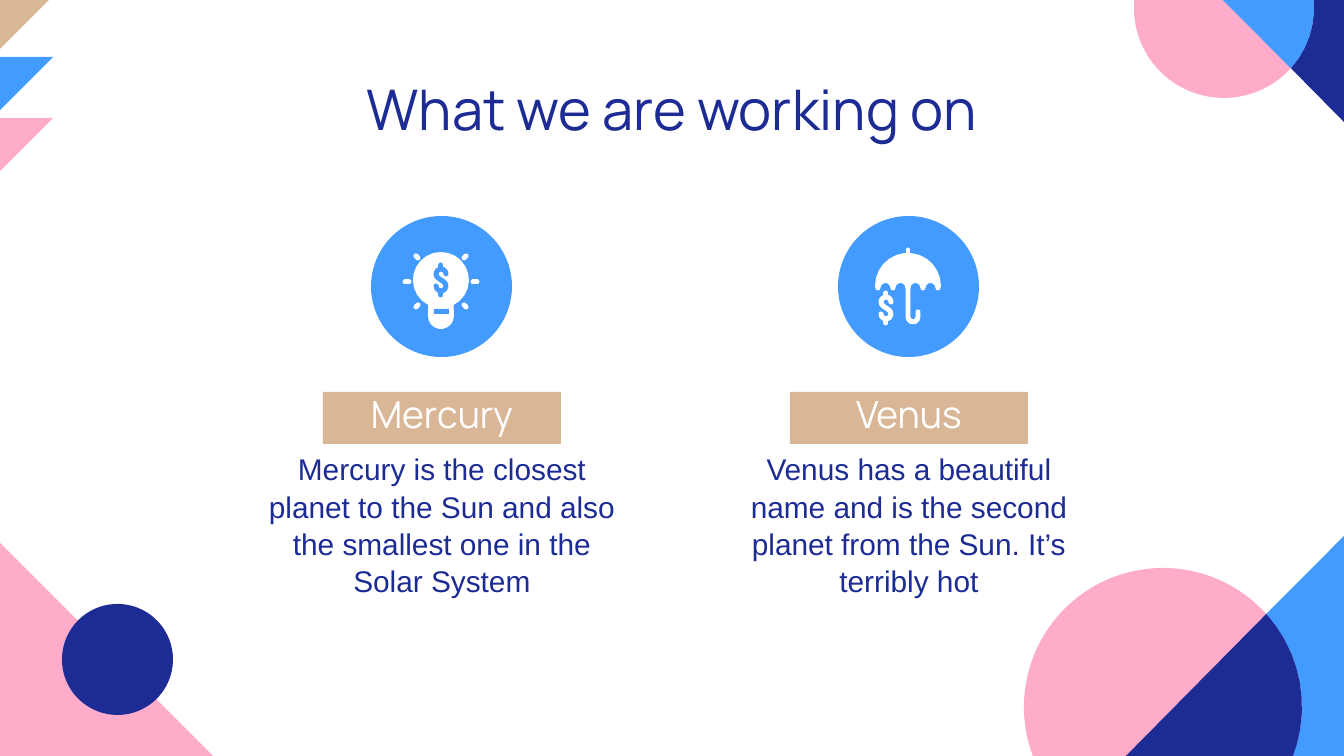
from math import ceil, cos, radians, sin, sqrt

from pptx import Presentation
from pptx.dml.color import RGBColor
from pptx.enum.shapes import MSO_SHAPE
from pptx.enum.text import MSO_ANCHOR, MSO_AUTO_SIZE, PP_ALIGN
from pptx.util import Pt

PX = 914400 / 134.4  # EMU in one px
SANS, TITLE_FONT = "Arial", "Manrope"
NAVY, BLUE, PINK, SAND, WHITE = "1D2B95", "449BFF", "FFACCA", "D9B695", "FFFFFF"
OVAL, BAND = MSO_SHAPE.OVAL, MSO_SHAPE.RECTANGLE
rgb = RGBColor.from_string


def emu(*lengths):
    return [round(length * PX) for length in lengths]


def arc(cx, cy, r, start, end):
    """Points along an arc; degrees run clockwise from the right."""
    sweep = radians(end - start)
    steps = ceil(abs(sweep) / sqrt(2 / r))  # at most a quarter px off the curve
    angles = [radians(start) + sweep * i / steps for i in range(steps + 1)]
    return [(cx + r * cos(a), cy + r * sin(a)) for a in angles]


prs = Presentation()
prs.slide_width, prs.slide_height = emu(1344, 756)
slide = prs.slides.add_slide(prs.slide_layouts[5])
shapes = slide.shapes

# Canopy of the umbrella, with a scalloped lower edge
canopy = arc(908, 286, 33, 180, 360)
for tip in range(938, 877, -15):
    canopy += arc(tip, 288, 2.5, 0, 180)
    if tip > 878:
        canopy += arc(tip - 7.5, 288, 5, 0, -180)

# Filled parts, from back to front: a preset with its box, or None with points
filled = [(None, [(53, top), (-8, top), (-8, top + 61)], color)
          for top, color in ((-4, SAND), (57, BLUE), (118, PINK))]
filled += [
    # top right
    (OVAL, (1134, -82, 180, 180), PINK),
    (None, [(1344, 122), (1344, -24)] + arc(1224, 8, 90, -21, 42), NAVY),
    (None, arc(1224, 8, 90, 42, -21) + [(1199, -24)], BLUE),
    # bottom left
    (None, [(-3, 540), (-3, 759), (216, 759)], PINK),
    (OVAL, (62, 604, 111, 111), NAVY),
    # bottom right
    (OVAL, (1024, 568, 278, 278), PINK),
    (None, [(1348, 532), (1348, 758)] + arc(1163, 707, 139, 22, -42), BLUE),
    (None, arc(1163, 707, 139, -42, 22) + [(1124, 758)], NAVY),
    # icon discs, bulb with its socket band, umbrella
    (OVAL, (371, 216, 141, 141), BLUE),
    (OVAL, (838, 216, 141, 141), BLUE),
    (None, arc(441, 280, 28, 117, 423) + arc(441, 316, 13, 0, 180), WHITE),
    (BAND, (434, 309, 15, 5), BLUE),
    (None, canopy, WHITE),
]
for preset, geometry, color in filled:
    if preset is None:
        points = [emu(*point) for point in geometry]
        builder = shapes.build_freeform(*points[0])
        builder.add_line_segments(points[1:], close=True)
        part = builder.convert_to_shape()
    else:
        part = shapes.add_shape(preset, *emu(*geometry))
    part.shadow.inherit = False
    part.fill.solid()
    part.fill.fore_color.rgb = rgb(color)
    part.line.fill.background()

# Stroked parts: rays, umbrella pole and handle, dollar signs
rays = [[(441 + side * near, y1), (441 + side * far, y2)]
        for side in (-1, 1)
        for near, y1, far, y2 in ((32, 282, 36, 282), (23, 258, 25, 256),
                                  (23, 305, 25, 307))]
pole = [[(908, 250), (908, 256)],
        [(908, 288)] + arc(913, 317, 5, 180, 0) + [(918, 312)]]
stroked = [(rays, WHITE), (pole, WHITE)]
for cx, cy, color in ((441, 280, BLUE), (886, 308, WHITE)):
    dollar = [arc(cx, cy - 6, 5, 0, -235) + arc(cx, cy + 6, 5, -55, 180),
              [(cx, cy - 15), (cx, cy - 11)],
              [(cx, cy + 11), (cx, cy + 15)]]
    stroked.append((dollar, color))
for contours, color in stroked:
    builder = shapes.build_freeform(*emu(*contours[0][0]))
    for contour in contours:
        points = [emu(*point) for point in contour]
        if contour is not contours[0]:
            builder.move_to(*points[0])
        builder.add_line_segments(points[1:], close=False)
    stroke = builder.convert_to_shape()
    stroke.shadow.inherit = False
    stroke.fill.background()
    stroke.line.color.rgb = rgb(color)
    stroke.line.width = emu(5)[0]
    stroke.line._ln.set("cap", "rnd")

# Title
title = shapes.title
title.left, title.top, title.width, title.height = emu(105, 66, 1134, 85)
texts = [(title, "What we are working on", TITLE_FONT, 30, NAVY, 1.0)]

# Planet labels and descriptions
planets = [
    (371, "Mercury", "Mercury is the closest planet to the Sun and also "
                     "the smallest one in the Solar System"),
    (838, "Venus", "Venus has a beautiful name and is the second planet "
                   "from the Sun. It’s terribly hot"),
]
for left, planet, about in planets:
    label = shapes.add_shape(BAND, *emu(left - 48, 392, 238, 52))
    label.shadow.inherit = False
    label.fill.solid()
    label.fill.fore_color.rgb = rgb(SAND)
    label.line.fill.background()
    description = shapes.add_textbox(*emu(left - 118, 449, 378, 150))
    texts += [(label, planet, TITLE_FONT, 20, WHITE, 0.8),
              (description, about, SANS, 16, NAVY, 1.04)]

# Text formatting
for holder, words, font_name, size, color, spacing in texts:
    frame = holder.text_frame
    frame.text = words
    frame.word_wrap = True
    frame.auto_size = MSO_AUTO_SIZE.NONE
    frame.vertical_anchor = MSO_ANCHOR.MIDDLE
    frame.margin_left = frame.margin_right = emu(13)[0]
    frame.margin_top = frame.margin_bottom = emu(13)[0]
    paragraph = frame.paragraphs[0]
    paragraph.alignment = PP_ALIGN.CENTER
    paragraph.line_spacing = spacing
    font = paragraph.runs[0].font
    font.name, font.size = font_name, Pt(size)
    font.color.rgb = rgb(color)

prs.save("out.pptx")
